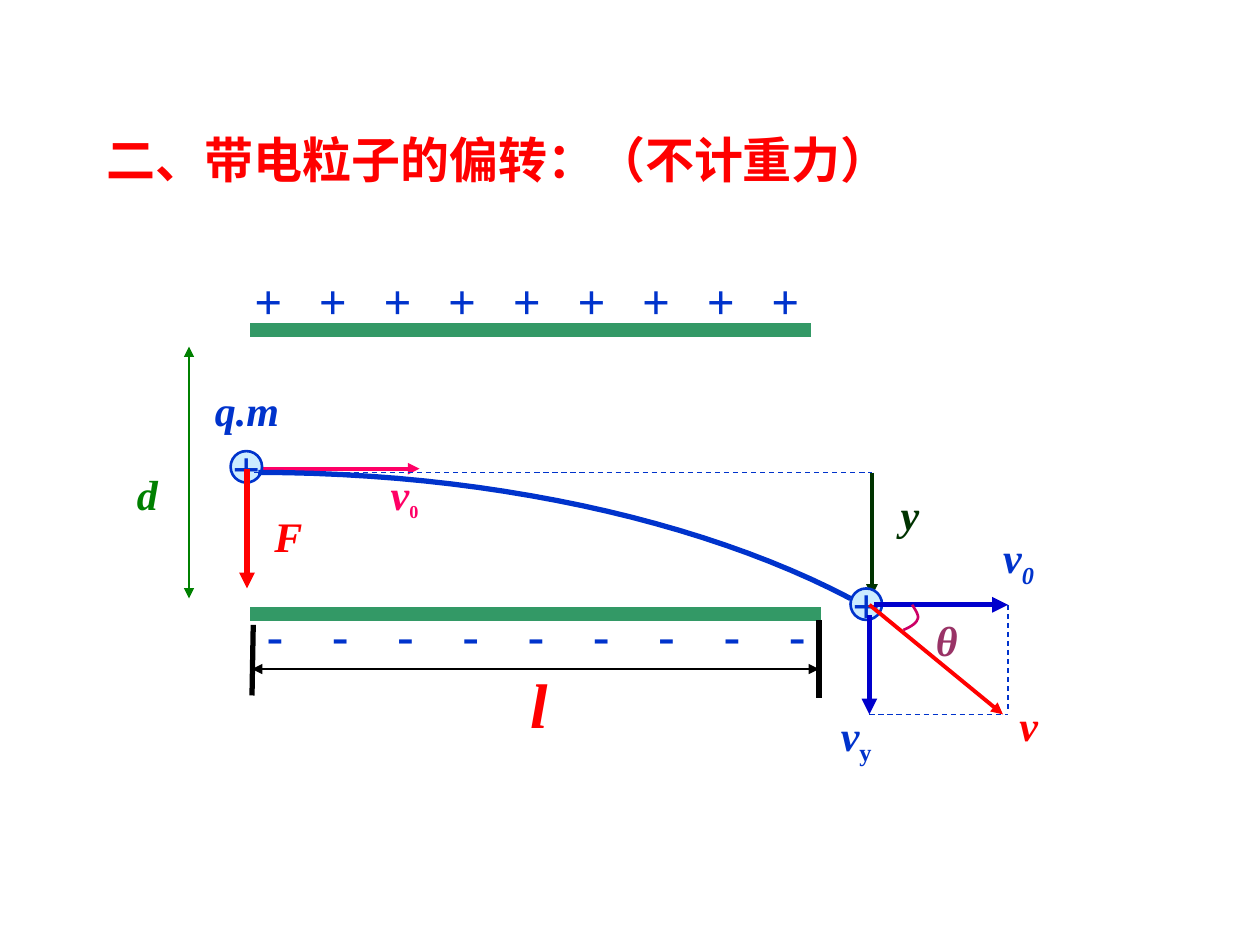
from lxml.etree import SubElement
from pptx import Presentation
from pptx.dml.color import RGBColor
from pptx.enum.dml import MSO_LINE
from pptx.enum.shapes import MSO_CONNECTOR, MSO_SHAPE
from pptx.enum.text import MSO_ANCHOR, PP_ALIGN
from pptx.oxml.ns import qn
from pptx.util import Inches, Pt

COLORS = {
    "red": "FF0000", "blue": "0033CC", "velocity": "0000CC", "pink": "FF0066",
    "plate": "339966", "green": "008000", "dark green": "003300",
    "ball": "CCECFF", "plum": "993366", "angle": "CC0066", "black": "000000",
}
SERIF = "Times New Roman"


def rgb(name):
    return RGBColor.from_string(COLORS[name])


def style_font(font, size, color, italic=False, face=SERIF):
    font.name, font.size = face, Pt(size)
    font.bold, font.italic = True, italic
    font.color.rgb = rgb(color)


def add_label(slide, text, left, top, width, height, color, size=24, italic=True,
              align=PP_ALIGN.LEFT, face=SERIF, tab_pitch=None):
    box = slide.shapes.add_textbox(Inches(left), Inches(top), Inches(width), Inches(height))
    box.text_frame.word_wrap = True
    paragraph = box.text_frame.paragraphs[0]
    paragraph.text = text
    paragraph.alignment = align
    if tab_pitch:
        tabs = SubElement(paragraph._p.get_or_add_pPr(), qn("a:tabLst"))
        for stop in range(1, text.count("\t") + 1):
            SubElement(tabs, qn("a:tab"), pos=str(Inches(stop * tab_pitch)), algn="l")
    style_font(paragraph.font, size, color, italic, face)
    return paragraph


def add_subscript(paragraph, text, size=24, italic=False):
    subscript = paragraph.add_run()
    subscript.text = text
    subscript.font.size, subscript.font.italic = Pt(size), italic
    subscript.font._element.set("baseline", "-25000")


def add_charge_row(slide, sign, left, top, width, pitch, count=9):
    add_label(slide, "\t".join(sign * count), left, top, width, 1.04, "blue",
              size=28, italic=False, tab_pitch=pitch)


def add_line(slide, start, end, color, width, head=False, tail=False, dashed=False):
    line = slide.shapes.add_connector(
        MSO_CONNECTOR.STRAIGHT, *(Inches(value) for value in (*start, *end)))
    line.line.color.rgb = rgb(color)
    line.line.width = Pt(width)
    if dashed:
        line.line.dash_style = MSO_LINE.DASH
    outline = line.line._get_or_add_ln()
    for tag, wanted in (("a:headEnd", head), ("a:tailEnd", tail)):
        if wanted:
            SubElement(outline, qn(tag), type="triangle")
    SubElement(line._element.spPr, qn("a:effectLst"))


def add_filled(slide, kind, left, top, width, height, fill, outline, line_width):
    shape = slide.shapes.add_shape(
        kind, Inches(left), Inches(top), Inches(width), Inches(height))
    shape.shadow.inherit = False
    shape.fill.solid()
    shape.fill.fore_color.rgb = rgb(fill)
    shape.line.color.rgb = rgb(outline)
    shape.line.width = Pt(line_width)
    return shape


def add_plate(slide, top, width):
    plate = add_filled(slide, MSO_SHAPE.RECTANGLE, 2, top, width, 0.08,
                       "plate", "plate", 2.25)
    SubElement(plate.line._get_or_add_ln(), qn("a:miter"), lim="800000")


def add_particle(slide, left, top):
    ball = add_filled(slide, MSO_SHAPE.OVAL, left, top, 0.25, 0.25, "ball", "blue", 1.5)
    frame = ball.text_frame
    frame.word_wrap = False
    frame.vertical_anchor = MSO_ANCHOR.MIDDLE
    sign = frame.paragraphs[0]
    sign.text = "+"
    sign.alignment = PP_ALIGN.CENTER
    style_font(sign.font, 28, "blue")


def bezier(p0, p1, p2, p3, steps=24):
    """Points along a cubic curve."""
    for step in range(steps + 1):
        t = step / steps
        weights = ((1 - t) ** 3, 3 * t * (1 - t) ** 2, 3 * t ** 2 * (1 - t), t ** 3)
        yield tuple(sum(w * p[axis] for w, p in zip(weights, (p0, p1, p2, p3)))
                    for axis in (0, 1))


def add_curve(slide, points, color, width):
    # The builder rounds coordinates to whole units, so it is given EMU
    first, *rest = [(Inches(x), Inches(y)) for x, y in points]
    builder = slide.shapes.build_freeform(*first)
    builder.add_line_segments(rest, close=False)
    curve = builder.convert_to_shape()
    curve.shadow.inherit = False
    curve.fill.background()
    curve.line.color.rgb = rgb(color)
    curve.line.width = Pt(width)


def draw_plates(slide):
    add_charge_row(slide, "+", 1.92, 2.1, 4.58, 0.513)
    add_plate(slide, 2.58, 4.42)
    add_plate(slide, 4.83, 4.5)
    add_charge_row(slide, "-", 2.02, 4.75, 4.73, 0.518)


def draw_entry(slide):
    # Initial velocity
    add_line(slide, (2.08, 3.72), (3.33, 3.72), "pink", 2.25, tail=True)
    v0 = add_label(slide, "v", 2.92, 3.67, 0.58, 0.53, "pink", align=PP_ALIGN.CENTER)
    add_subscript(v0, "0", size=18)
    # Charged particle
    add_particle(slide, 1.83, 3.58)
    add_label(slide, "q.m", 1.25, 3, 1.42, 0.5, "blue", align=PP_ALIGN.CENTER)
    # Plate distance
    add_line(slide, (1.5, 2.75), (1.5, 4.75), "green", 1.5, head=True, tail=True)
    add_label(slide, "d", 0.92, 3.67, 0.5, 0.5, "green", align=PP_ALIGN.CENTER)
    # Plate length
    add_line(slide, (2, 5.31), (6.5, 5.31), "black", 0.75, head=True, tail=True)
    add_line(slide, (2.01, 4.96), (2, 5.52), "black", 3)
    add_line(slide, (6.5, 4.92), (6.5, 5.54), "black", 3)
    add_label(slide, "l", 4.11, 5.23, 0.66, 0.7, "red", size=36)
    # Electric force
    add_line(slide, (1.96, 3.72), (1.96, 4.67), "red", 3, tail=True)
    add_label(slide, "F", 2.08, 4, 0.5, 0.5, "red")


def draw_exit(slide):
    # Trajectory and velocity parallelogram
    add_curve(slide, bezier((2.05, 3.75), (3.84, 3.75), (5.55, 4.12), (6.75, 4.75)), "blue", 3)
    add_line(slide, (6.9, 5.67), (8, 5.67), "blue", 0.75, dashed=True)
    add_line(slide, (8, 4.8), (8, 5.63), "blue", 0.75, dashed=True)
    # Deflection
    add_line(slide, (6.92, 3.75), (6.92, 4.73), "dark green", 2.25, tail=True)
    add_label(slide, "y", 7.05, 3.83, 0.37, 0.5, "dark green")
    add_particle(slide, 6.75, 4.67)
    add_line(slide, (2.02, 3.75), (6.92, 3.75), "blue", 0.75, dashed=True)
    # Final velocity and its components
    add_line(slide, (6.9, 4.8), (7.96, 5.67), "red", 2.25, tail=True)
    add_label(slide, "v", 7.83, 5.5, 0.67, 0.5, "red", align=PP_ALIGN.CENTER)
    add_line(slide, (6.94, 4.8), (8, 4.8), "velocity", 3, tail=True)
    v0 = add_label(slide, "v", 7.75, 4.17, 0.67, 0.56, "blue", align=PP_ALIGN.CENTER)
    add_subscript(v0, "0", italic=True)
    add_line(slide, (6.9, 4.88), (6.9, 5.67), "velocity", 3, tail=True)
    vy = add_label(slide, "v", 6.42, 5.58, 0.75, 0.56, "blue", align=PP_ALIGN.CENTER)
    add_subscript(vy, "y")
    # Deflection angle
    add_label(slide, "θ", 7.33, 4.83, 0.42, 0.5, "plum")
    upper = bezier((7.24, 4.8), (7.27, 4.85), (7.3, 4.89), (7.28, 4.92), 8)
    lower = bezier((7.28, 4.92), (7.27, 4.95), (7.22, 4.98), (7.17, 5), 8)
    add_curve(slide, [*upper, *lower], "angle", 1.5)


def main():
    deck = Presentation()
    deck.slide_width, deck.slide_height = Inches(10), Inches(7.5)
    slide = deck.slides.add_slide(deck.slide_layouts[6])
    add_label(slide, "二、带电粒子的偏转：（不计重力）", 0.75, 0.98, 7.92, 0.57, "red",
              size=28, italic=False, face="Arial")
    draw_plates(slide)
    draw_entry(slide)
    draw_exit(slide)
    deck.save("out.pptx")


if __name__ == "__main__":
    main()
